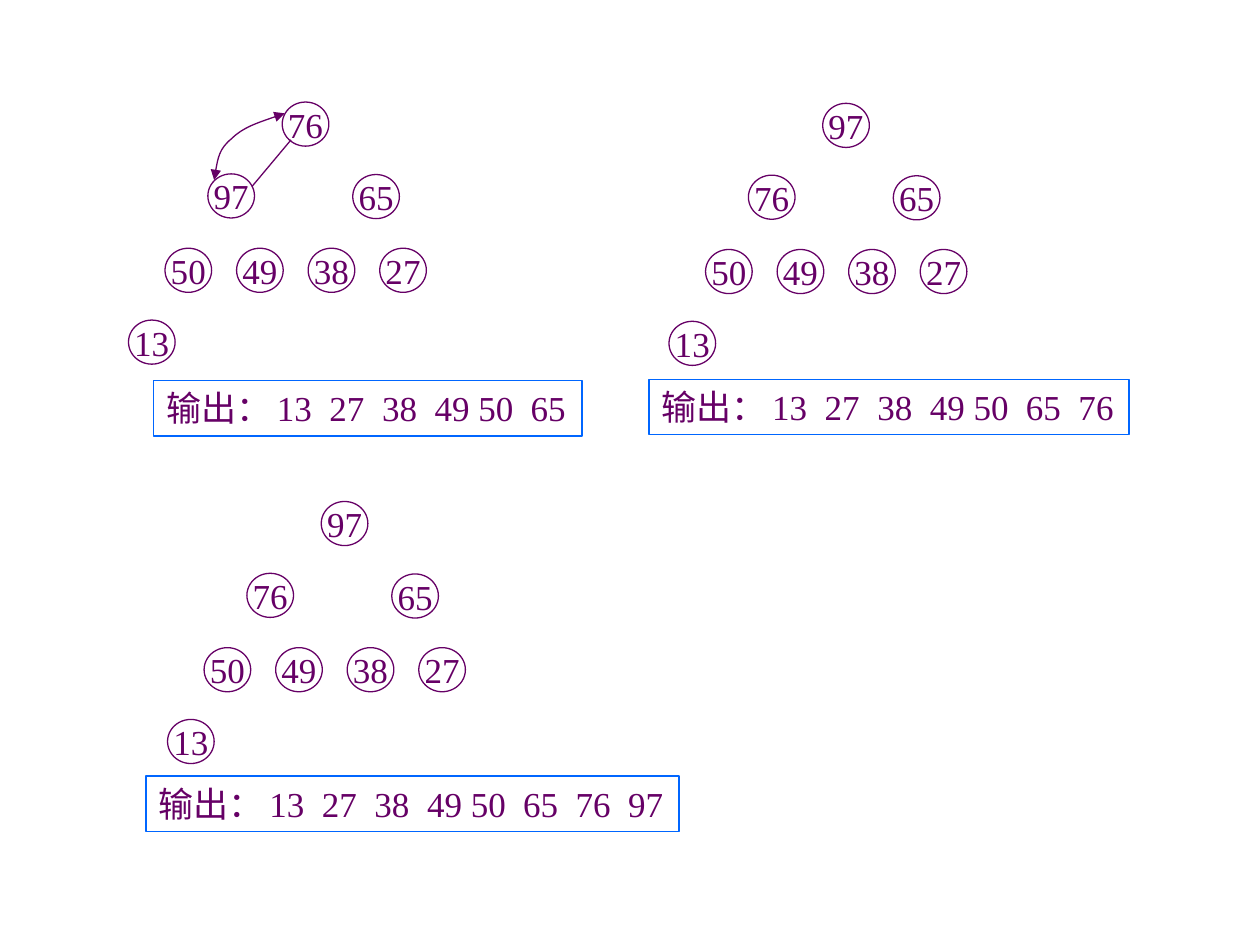
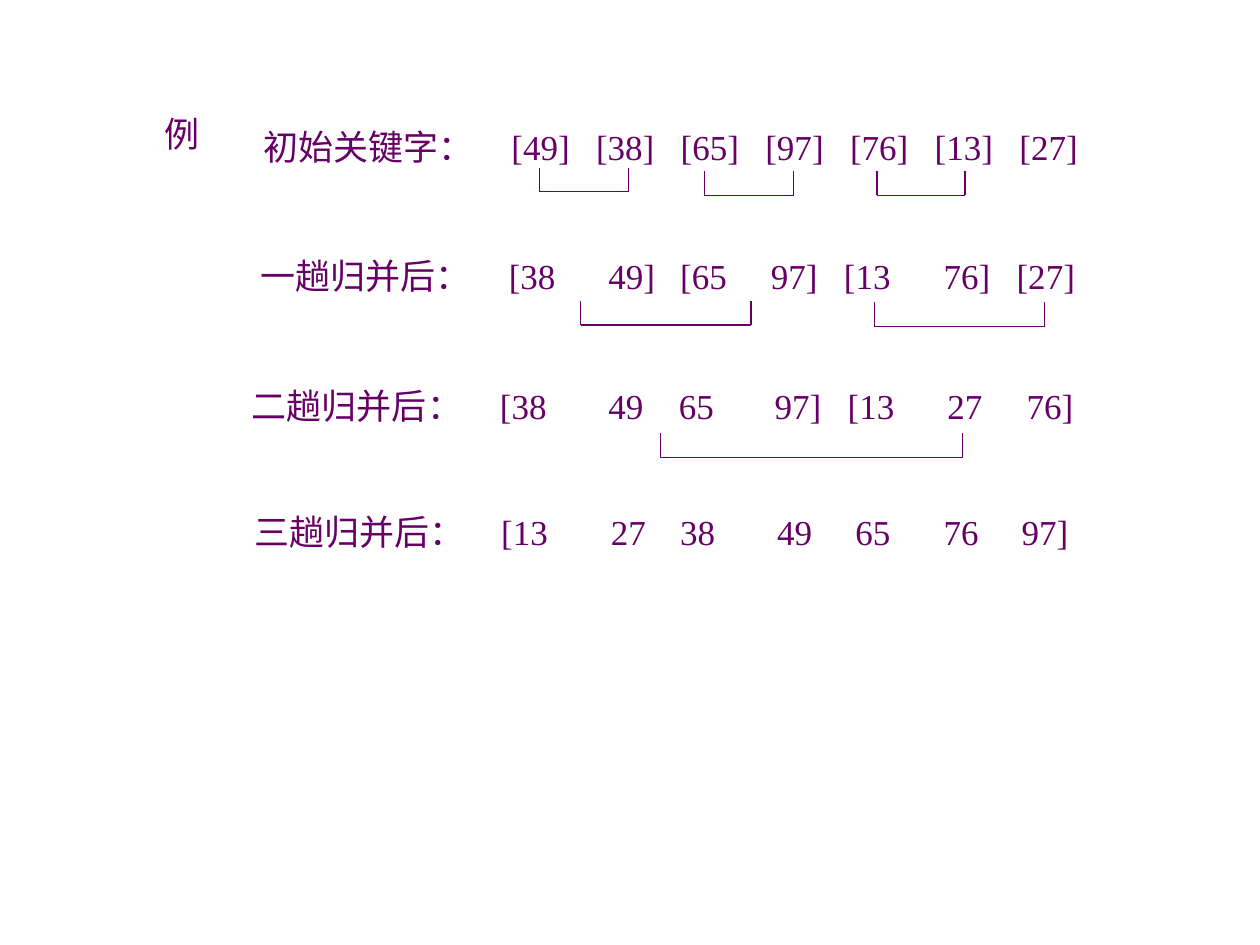
from dataclasses import dataclass

from lxml import etree
from pptx import Presentation
from pptx.dml.color import RGBColor
from pptx.enum.shapes import MSO_CONNECTOR, MSO_SHAPE
from pptx.enum.text import MSO_ANCHOR, PP_ALIGN
from pptx.oxml.ns import qn
from pptx.util import Inches, Pt

STRAIGHT = MSO_CONNECTOR.STRAIGHT
OVAL, RECTANGLE = MSO_SHAPE.OVAL, MSO_SHAPE.RECTANGLE
MIDDLE, TOP = MSO_ANCHOR.MIDDLE, MSO_ANCHOR.TOP
CENTER, LEFT = PP_ALIGN.CENTER, PP_ALIGN.LEFT
BLANK_LAYOUT = 6

# The slide is a grid of 100 columns by 75 rows
COLUMNS, ROWS = 100, 75
CELL = Inches(10) // COLUMNS


@dataclass(frozen=True)
class Theme:
    ink: RGBColor = RGBColor(0x66, 0x00, 0x66)
    frame: RGBColor = RGBColor(0x00, 0x66, 0xFF)
    font: str = "Times New Roman"
    size: Pt = Pt(20)
    line: Pt = Pt(0.75)


THEME = Theme()

# Heap tree, in cells from the tree's top left corner, level by level
NODE_WIDTH, NODE_HEIGHT = 3.7, 3.5
NODE_PLACES = [(12.2, 0), (6.3, 5.7), (17.8, 5.75)]
NODE_PLACES += [(2.9 + 5.68 * leaf, 11.6) for leaf in range(4)]
NODE_PLACES += [(0, 17.3)]

# Output box: "49 50" stands together and so takes a wider step
TEXT_INSET, TEXT_HEIGHT = 1, 4.4
OUTPUT_KEYS = ["13", "27", "38", "49 50", "65", "76", "97"]
OUTPUT_STOPS = [8.8 + 4.17 * step for step in (0, 1, 2, 3, 4.83, 5.83, 6.83)]

# Tree origin, node values, output box (left, top, width), number of output items
HEAPS = [
    ((10.2, 8.1), (76, 97, 65, 50, 49, 38, 27, 13), (2, 22.1, 34), 5),
    ((53.1, 8.2), (97, 76, 65, 50, 49, 38, 27, 13), (-1.6, 21.9, 38.1), 6),
    ((13.3, 39.8), (97, 76, 65, 50, 49, 38, 27, 13), (-1.7, 21.8, 42.3), 7),
]

# Merge passes: box left and top, label, keys, key columns, brackets (left, right, top)
PASSES = [
    (19.9, 9.5, "初始关键字：", "[49] [38] [65] [97] [76] [13] [27]",
     [40.6 + 6.72 * key for key in range(7)],
     [(42.8, 49.9, 13.3), (55.9, 63, 13.6), (69.6, 76.6, 13.6)]),
    (19.7, 19.7, "一趟归并后：", "[38 49] [65 97] [13 76] [27]",
     [40.4, 48.3, 54, 61.2, 67, 74.9, 80.7],
     [(46.1, 59.6, 23.9), (69.4, 82.9, 24)]),
    (19, 30, "二趟归并后：", "[38 49 65 97] [13 27 76]",
     [39.7, 48.3, 53.9, 61.5, 67.3, 75.2, 81.5],
     [(52.4, 76.4, 34.4)]),
    (19.2, 40, "三趟归并后：", "[13 27 38 49 65 76 97]",
     [39.8, 48.5, 54, 61.7, 67.9, 74.9, 81.1], []),
]
BRACKET_HEIGHT = 1.9


def cells(*counts):
    return [round(count * CELL) for count in counts]


def add_element(parent, tag, **attributes):
    return etree.SubElement(parent, qn(tag), {key: str(value) for key, value in attributes.items()})


def write_text(shape, text, stops=(), align=LEFT, anchor=TOP, wrap=True):
    """Set one line of themed text; stops are in cells from the text's left edge."""
    frame = shape.text_frame
    frame.word_wrap, frame.vertical_anchor = wrap, anchor
    if wrap:
        frame.margin_right = 0
    paragraph = frame.paragraphs[0]
    paragraph.text, paragraph.alignment = text, align
    if stops:
        tab_list = add_element(paragraph._p.get_or_add_pPr(), "a:tabLst")
        for stop in cells(*stops):
            add_element(tab_list, "a:tab", pos=stop, algn="l")
    font = paragraph.font
    font.name, font.size = THEME.font, THEME.size
    font.color.rgb = THEME.ink


def add_outline(slide, kind, box, color):
    shape = slide.shapes.add_shape(kind, *cells(*box))
    shape.shadow.inherit = False
    shape.fill.background()
    shape.line.color.rgb, shape.line.width = color, THEME.line
    return shape


def add_line(slide, start, end):
    line = slide.shapes.add_connector(STRAIGHT, *cells(*start, *end))
    line.line.color.rgb, line.line.width = THEME.ink, THEME.line
    add_element(line._element.spPr, "a:effectLst")


def add_swap_arrow(slide, left, top):
    """Curved double arrow between the root and its left child."""
    points = [(12.4, 0.9), (10.7, 1.5), (9.1, 2), (8.2, 2.9), (7.2, 3.7), (7, 4.9), (6.8, 6.2)]
    start, *rest = [tuple(cells(left + x, top + y)) for x, y in points]
    builder = slide.shapes.build_freeform(*start)
    builder.add_line_segments(rest, close=False)
    arrow = builder.convert_to_shape()
    arrow.shadow.inherit = False
    arrow.fill.background()
    arrow.line.color.rgb, arrow.line.width = THEME.ink, THEME.line
    # Every three straight segments become one Bézier curve
    outline = next(arrow._element.iter(qn("a:path")))
    segments = outline.findall(qn("a:lnTo"))
    for first in range(0, len(segments), 3):
        curve = add_element(outline, "a:cubicBezTo")
        for segment in segments[first:first + 3]:
            curve.append(segment[0])
            outline.remove(segment)
    line = arrow.line._get_or_add_ln()
    for end in ("a:headEnd", "a:tailEnd"):
        add_element(line, end, type="triangle")


def add_heap(slide, origin, values, output_box, output_count):
    """Heap tree with the box of keys already put out."""
    left, top = origin
    for (x, y), value in zip(NODE_PLACES, values):
        node = add_outline(slide, OVAL, (left + x, top + y, NODE_WIDTH, NODE_HEIGHT), THEME.ink)
        write_text(node, str(value), align=CENTER, anchor=MIDDLE, wrap=False)
    x, y, width = output_box
    output = add_outline(slide, RECTANGLE, (left + x, top + y, width, TEXT_HEIGHT), THEME.frame)
    text = "\t".join(["输出：", *OUTPUT_KEYS[:output_count]])
    write_text(output, text, OUTPUT_STOPS[:output_count])


def add_text(slide, box, text, stops=()):
    write_text(slide.shapes.add_textbox(*cells(*box)), text, stops)


def add_bracket(slide, left, right, top):
    """Open bracket that joins two runs to be merged."""
    bottom = top + BRACKET_HEIGHT
    corners = [(left, top), (left, bottom), (right, bottom), (right, top)]
    for start, end in zip(corners, corners[1:]):
        add_line(slide, start, end)


def add_merge_pass(slide, left, top, label, keys, key_columns, brackets):
    stops = [column - left - TEXT_INSET for column in key_columns]
    add_text(slide, (left, top, 68, TEXT_HEIGHT), "\t".join([label, *keys.split()]), stops)
    for bracket in brackets:
        add_bracket(slide, *bracket)


def build_heap_slide(slide):
    for heap in HEAPS:
        add_heap(slide, *heap)
    # The first heap still swaps its root with the left child
    left, top = HEAPS[0][0]
    add_line(slide, (left + 12.9, top + 3), (left + 9.8, top + 6.7))
    add_swap_arrow(slide, left, top)


def build_merge_slide(slide):
    add_text(slide, (12.1, 8.4, 4.8, TEXT_HEIGHT), "例")
    for merge_pass in PASSES:
        add_merge_pass(slide, *merge_pass)


def main():
    presentation = Presentation()
    presentation.slide_width, presentation.slide_height = cells(COLUMNS, ROWS)
    for build in (build_heap_slide, build_merge_slide):
        build(presentation.slides.add_slide(presentation.slide_layouts[BLANK_LAYOUT]))
    presentation.save("out.pptx")


if __name__ == "__main__":
    main()
